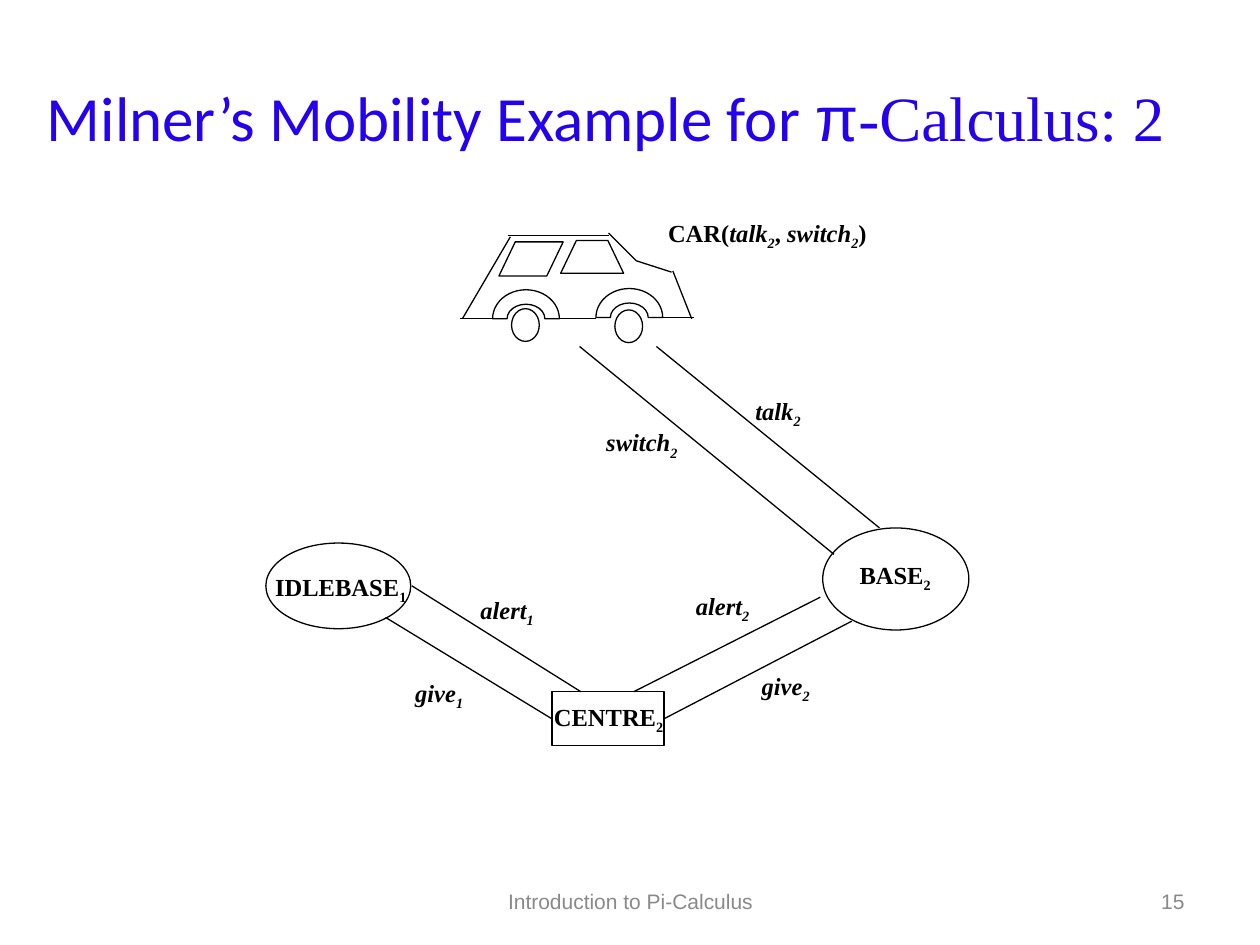
"""Builds the slide on Milner's mobility example: a car, two bases and a centre."""
from lxml import etree
from pptx import Presentation
from pptx.dml.color import RGBColor
from pptx.enum.shapes import MSO_CONNECTOR, MSO_SHAPE
from pptx.enum.text import MSO_ANCHOR, PP_ALIGN
from pptx.oxml.ns import qn
from pptx.util import Inches, Pt

STRAIGHT = MSO_CONNECTOR.STRAIGHT
OVAL, RECTANGLE = MSO_SHAPE.OVAL, MSO_SHAPE.RECTANGLE
ARCH, TRAPEZOID = MSO_SHAPE.BLOCK_ARC, MSO_SHAPE.TRAPEZOID
PARALLELOGRAM = MSO_SHAPE.PARALLELOGRAM
MIDDLE = MSO_ANCHOR.MIDDLE
CENTER, RIGHT = PP_ALIGN.CENTER, PP_ALIGN.RIGHT
LEFT_SIDE, RIGHT_SIDE = 1, 3

BLACK, BLUE, GREY = "000000", "2402EE", "898989"
SERIF = "Times New Roman"
LINE_WIDTH = 0.75

TITLE = [
    ("Milner’s Mobility Example for ", {"name": "Calibri"}),
    ("π", {"name": "Arial"}),
    ("-Calculus: 2 ", {"name": SERIF}),
]
TITLE_AREA = (0.24, 0.3, 9.26, 1.25)
FOOTERS = [
    ("Introduction to Pi-Calculus", (3.42, 6.95, 3.17, 0.4), CENTER),
    ("15", (7.17, 6.95, 2.33, 0.4), RIGHT),
]

CAR_PARTS = [
    (OVAL, (4.06, 2.45, 0.22, 0.26), None),
    (OVAL, (4.88, 2.46, 0.22, 0.26), None),
    (ARCH, (3.91, 2.3, 0.53, 0.46), None),
    (ARCH, (4.73, 2.29, 0.53, 0.46), None),
    (PARALLELOGRAM, (3.96, 1.92, 0.51, 0.27), 0.48),
    (TRAPEZOID, (4.45, 1.91, 0.5, 0.26), 0.48),
]
CAR_LINES = [
    (3.67, 2.53, 4.05, 1.88),
    (4.03, 1.87, 4.83, 1.87),
    (4.83, 1.85, 5.05, 2.07),
    (5.05, 2.07, 5.33, 2.16),
    (5.34, 2.15, 5.49, 2.53),
    (5.51, 2.52, 5.25, 2.52),
    (4.44, 2.53, 4.73, 2.53),
    (3.91, 2.53, 3.65, 2.53),
]

CENTRE_AREA = (4.38, 5.49, 0.89, 0.43)
BASE_AREAS = [(2.11, 4.31, 1.15, 0.68), (6.53, 4.19, 1.16, 0.81)]
CHANNELS = [
    ((3.27, 4.65, 4.61, 5.49), None),
    ((3.06, 4.9, 4.38, 5.71), LEFT_SIDE),
    ((6.51, 4.74, 5.03, 5.49), None),
    ((6.76, 4.93, 5.26, 5.72), RIGHT_SIDE),
    ((6.98, 4.19, 5.21, 2.75), None),
    ((6.62, 4.4, 4.6, 2.75), None),
]

LABEL_HEIGHT = 0.33
AGENT_LABELS = [
    ("CENTRE", "2", 4.29, 5.54, 1.08),
    ("IDLEBASE", "1", 2.08, 4.51, 1.25),
    ("BASE", "2", 6.72, 4.41, 0.77),
]
CHANNEL_LABELS = [
    ("talk", "2", 5.89, 3.11, 0.57),
    ("switch", "2", 4.71, 3.36, 0.77),
    ("alert", "1", 3.71, 4.69, 0.63),
    ("alert", "2", 5.42, 4.66, 0.63),
    ("give", "1", 3.19, 5.35, 0.59),
    ("give", "2", 5.94, 5.29, 0.59),
]
CAR_LABEL_AREA = (5.2, 1.7, 1.78, LABEL_HEIGHT)


def rgb(color):
    return RGBColor.from_string(color)


def inches(area):
    return [Inches(value) for value in area]


def outline(line):
    line.color.rgb = rgb(BLACK)
    line.width = Pt(LINE_WIDTH)


def add_outline(shapes, kind, area, slant=None):
    figure = shapes.add_shape(kind, *inches(area))
    figure.shadow.inherit = False
    figure.fill.background()
    outline(figure.line)
    if slant:
        figure.adjustments[0] = slant
    return figure


def add_line(shapes, ends):
    stroke = shapes.add_connector(STRAIGHT, *inches(ends))
    outline(stroke.line)
    etree.SubElement(stroke._element.spPr, qn("a:effectLst"))
    return stroke


def write(frame, runs, size, color, align=CENTER):
    """Fills a text frame with (text, format) runs; a "sub" entry lowers a run."""
    frame.vertical_anchor = MIDDLE
    paragraph = frame.paragraphs[0]
    paragraph.alignment = align
    for text, formats in runs:
        run = paragraph.add_run()
        run.text = text
        run.font.size = Pt(size)
        run.font.color.rgb = rgb(color)
        for attribute, value in formats.items():
            if attribute == "sub":
                run.font._element.set("baseline", "-25000")
            else:
                setattr(run.font, attribute, value)


def indexed(word, index, italic):
    style = {"name": SERIF, "bold": True, "italic": italic}
    return [(word, style), (index, {**style, "sub": True})]


def add_label(shapes, runs, area):
    frame = shapes.add_textbox(*inches(area)).text_frame
    frame.word_wrap = False
    write(frame, runs, 14, BLACK)


def main():
    deck = Presentation()
    deck.slide_width, deck.slide_height = Inches(10), Inches(7.5)
    shapes = deck.slides.add_slide(deck.slide_layouts[5]).shapes

    title = shapes.title
    title.left, title.top, title.width, title.height = inches(TITLE_AREA)
    write(title.text_frame, TITLE, 36, BLUE)

    car = shapes.add_group_shape().shapes
    for part in CAR_PARTS:
        add_outline(car, *part)
    for ends in CAR_LINES:
        add_line(car, ends)

    centre = add_outline(shapes, RECTANGLE, CENTRE_AREA)
    for area in BASE_AREAS:
        add_outline(shapes, OVAL, area)
    for ends, centre_side in CHANNELS:
        channel = add_line(shapes, ends)
        if centre_side is not None:
            channel.end_connect(centre, centre_side)

    for labels, italic in ((AGENT_LABELS, False), (CHANNEL_LABELS, True)):
        for word, index, left, top, width in labels:
            add_label(shapes, indexed(word, index, italic),
                      (left, top, width, LABEL_HEIGHT))

    upright = {"name": SERIF, "bold": True}
    car_label = [("CAR(", upright), *indexed("talk", "2", True), (", ", upright),
                 *indexed("switch", "2", True), (")", upright)]
    add_label(shapes, car_label, CAR_LABEL_AREA)

    for text, area, align in FOOTERS:
        frame = shapes.add_textbox(*inches(area)).text_frame
        frame.word_wrap = True
        write(frame, [(text, {"name": "Arial"})], 12, GREY, align)

    deck.save("out.pptx")


if __name__ == "__main__":
    main()
